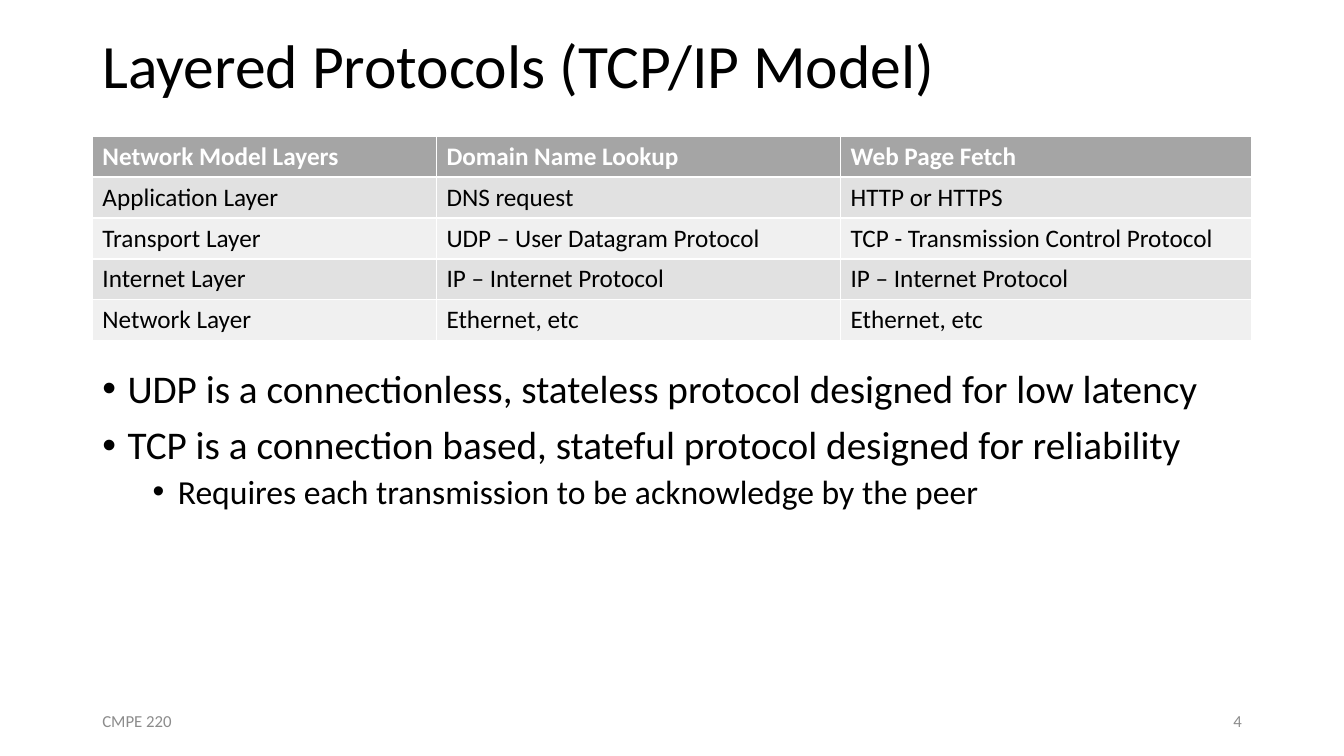
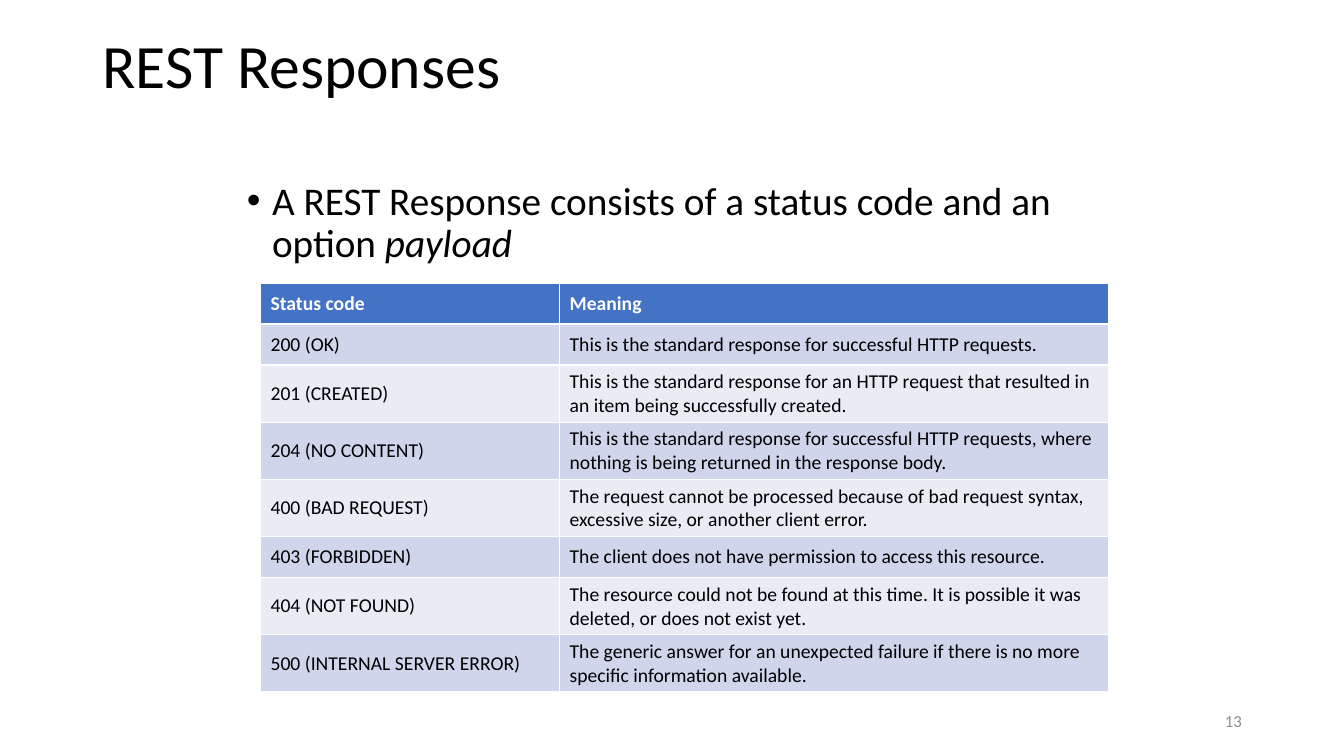
from lxml.etree import SubElement
from pptx import Presentation
from pptx.dml.color import RGBColor
from pptx.enum.text import MSO_ANCHOR as Anchor, PP_ALIGN as Align
from pptx.oxml.ns import qn
from pptx.util import Inches, Pt

BLACK = RGBColor(0x00, 0x00, 0x00)
WHITE = RGBColor(0xFF, 0xFF, 0xFF)
FOOTER_GRAY = RGBColor(0x8C, 0x8C, 0x8C)
# Table palettes: header, odd rows, even rows
GRAY_TABLE = (RGBColor(0xA5, 0xA5, 0xA5), RGBColor(0xE1, 0xE1, 0xE1), RGBColor(0xF0, 0xF0, 0xF0))
BLUE_TABLE = (RGBColor(0x44, 0x72, 0xC4), RGBColor(0xCF, 0xD5, 0xEA), RGBColor(0xE9, 0xEB, 0xF5))
FONT = "Calibri"

presentation = Presentation()
presentation.slide_width, presentation.slide_height = Inches(13.33), Inches(7.5)

# Square grid of 160 columns and 90 rows; boxes are left, top, width, height
UNIT = presentation.slide_height / 90
ROW_HEIGHT = 4.88
TITLE_BOX = (11, 0, 138, 16.2)
FOOTER_BOX = (11, 83.4, 36, 4.8)
NUMBER_BOX = (113, 83.4, 36, 4.8)
BULLET_INDENT = Inches(0.25)
BULLET_STYLES = ((28, 10), (24, 5))  # text size and space before, by level

SLIDES = [
    {
        "title": "Layered Protocols (TCP/IP Model)",
        "footer": "CMPE 220",
        "number": "4",
        "bullet_box": (11, 43.4, 138, 36.2),
        "bullets": [
            (0, ["UDP is a connectionless, stateless protocol designed for low latency"]),
            (0, ["TCP is a connection based, stateful protocol designed for reliability"]),
            (1, ["Requires each transmission to be acknowledge by the peer"]),
        ],
        "table_at": (11, 16.2),
        "columns": (40.95, 48.1, 48.9),
        "palette": GRAY_TABLE,
        "size": 18,
        "anchor": Anchor.TOP,
        "rows": [
            ("Network Model Layers", "Domain Name Lookup", "Web Page Fetch"),
            ("Application Layer", "DNS request", "HTTP or HTTPS"),
            ("Transport Layer", "UDP – User Datagram Protocol", "TCP - Transmission Control Protocol"),
            ("Internet Layer", "IP – Internet Protocol", "IP – Internet Protocol"),
            ("Network Layer", "Ethernet, etc", "Ethernet, etc"),
        ],
    },
    {
        "title": "REST Responses",
        "footer": None,
        "number": "13",
        "bullet_box": (28.2, 21, 103.4, 11.4),
        # The second run of a bullet is italic
        "bullets": [(0, ["A REST Response consists of a status code and an option ", "payload"])],
        "table_at": (31, 33.7),
        "columns": (35.6, 65.3),
        "palette": BLUE_TABLE,
        "size": 14,
        "anchor": Anchor.MIDDLE,
        "rows": [
            ("Status code", "Meaning"),
            ("200 (OK)", "This is the standard response for successful HTTP requests."),
            ("201 (CREATED)", "This is the standard response for an HTTP request that resulted in "
                              "an item being successfully created."),
            ("204 (NO CONTENT)", "This is the standard response for successful HTTP requests, where "
                                 "nothing is being returned in the response body."),
            ("400 (BAD REQUEST)", "The request cannot be processed because of bad request syntax, "
                                  "excessive size, or another client error."),
            ("403 (FORBIDDEN)", "The client does not have permission to access this resource."),
            ("404 (NOT FOUND)", "The resource could not be found at this time. It is possible it was "
                                "deleted, or does not exist yet."),
            ("500 (INTERNAL SERVER ERROR)", "The generic answer for an unexpected failure if there is no "
                                            "more specific information available."),
        ],
    },
]


def style_paragraph(paragraph, size, color, bold=False):
    font = paragraph.font
    font.name, font.size, font.bold = FONT, Pt(size), bold
    font.color.rgb = color


def add_text_frame(slide, box, anchor=Anchor.MIDDLE):
    shape = slide.shapes.add_textbox(*(round(length * UNIT) for length in box))
    shape.text_frame.word_wrap = True
    shape.text_frame.vertical_anchor = anchor
    return shape.text_frame


for content in SLIDES:
    slide = presentation.slides.add_slide(presentation.slide_layouts[6])

    # Title, footer and slide number
    for text, box, size, color, alignment in (
        (content["title"], TITLE_BOX, 44, BLACK, Align.LEFT),
        (content["footer"], FOOTER_BOX, 12, FOOTER_GRAY, Align.LEFT),
        (content["number"], NUMBER_BOX, 12, FOOTER_GRAY, Align.RIGHT),
    ):
        if text:
            paragraph = add_text_frame(slide, box).paragraphs[0]
            paragraph.text, paragraph.alignment = text, alignment
            paragraph.line_spacing = 0.9 if box == TITLE_BOX else 1.0
            style_paragraph(paragraph, size, color)

    # Bullets
    text_frame = add_text_frame(slide, content["bullet_box"], Anchor.TOP)
    for index, (level, runs) in enumerate(content["bullets"]):
        paragraph = text_frame.add_paragraph() if index else text_frame.paragraphs[0]
        for run_index, text in enumerate(runs):
            run = paragraph.add_run()
            run.text = text
            if run_index == 1:
                run.font.italic = True
        size, space = BULLET_STYLES[level]
        style_paragraph(paragraph, size, BLACK)
        paragraph.level = level
        paragraph.line_spacing, paragraph.space_before = 0.9, Pt(space)
        properties = paragraph._p.get_or_add_pPr()
        properties.set("marL", str(BULLET_INDENT * (1 + 2 * level)))
        properties.set("indent", str(-BULLET_INDENT))
        bullet_font = SubElement(properties, qn("a:buFont"), typeface="Arial")
        bullet = SubElement(properties, qn("a:buChar"), char="•")
        default_run = properties.find(qn("a:defRPr"))
        if default_run is not None:  # bullets come before the run defaults
            default_run.addprevious(bullet_font)
            default_run.addprevious(bullet)

    # Table; its style draws the white borders
    rows, columns = content["rows"], content["columns"]
    box = (*content["table_at"], sum(columns), ROW_HEIGHT * len(rows))
    table = slide.shapes.add_table(
        len(rows), len(columns), *(round(length * UNIT) for length in box)).table
    for column, width in zip(table.columns, columns):
        column.width = round(width * UNIT)
    header_fill, *band_fills = content["palette"]
    for row_index, row in enumerate(rows):
        is_header = row_index == 0
        for column_index, text in enumerate(row):
            cell = table.cell(row_index, column_index)
            cell.text, cell.vertical_anchor = text, content["anchor"]
            cell.fill.solid()
            cell.fill.fore_color.rgb = header_fill if is_header else band_fills[(row_index - 1) % 2]
            style_paragraph(cell.text_frame.paragraphs[0], content["size"],
                            WHITE if is_header else BLACK, is_header)

presentation.save("out.pptx")
